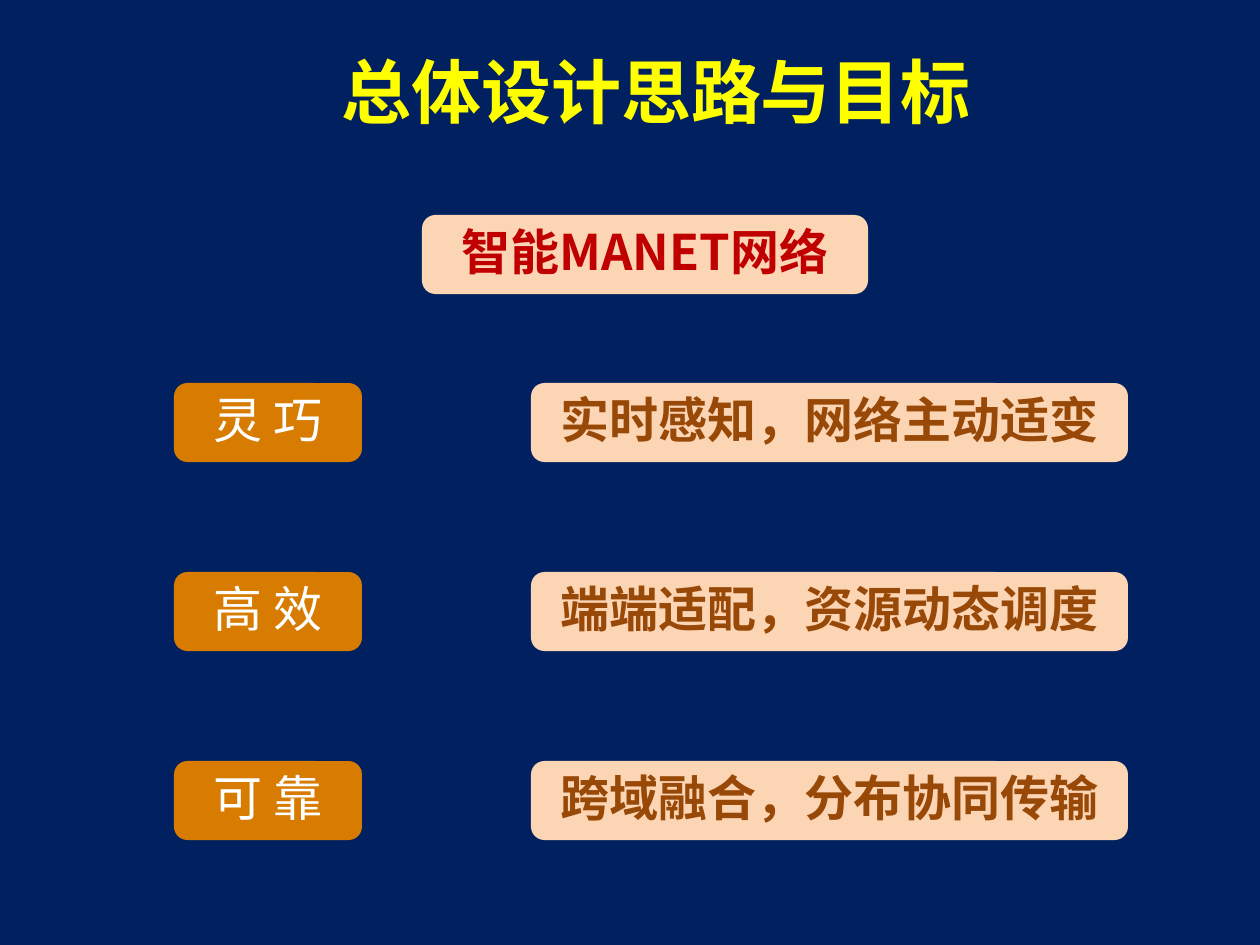
from pptx import Presentation
from pptx.dml.color import RGBColor
from pptx.enum.shapes import MSO_SHAPE
from pptx.enum.text import MSO_ANCHOR, PP_ALIGN
from pptx.util import Emu, Pt
from lxml import etree

ROUNDED = MSO_SHAPE.ROUNDED_RECTANGLE
MIDDLE = MSO_ANCHOR.MIDDLE
CENTER = PP_ALIGN.CENTER
FONT = "Noto Sans CJK SC"
DRAWING = "{http://schemas.openxmlformats.org/drawingml/2006/main}"

TITLE = "总体设计思路与目标"
NETWORK = "智能MANET网络"
GOALS = [
    ("灵 巧", "实时感知，网络主动适变"),
    ("高 效", "端端适配，资源动态调度"),
    ("可 靠", "跨域融合，分布协同传输"),
]
COLORS = {
    "background": "002060",
    "title": "FFFF00",
    "goal": "D77C01",
    "goal_text": "FFFFFF",
    "panel": "FCD5B5",
    "network_text": "C00000",
    "method_text": "984807",
}

PAGE_WIDTH, PAGE_HEIGHT = 1260, 945
BOX_HEIGHT = 79
FIRST_ROW, ROW_PITCH = 383, 189
GOAL_LEFT, GOAL_WIDTH = 174, 188
METHOD_LEFT, METHOD_WIDTH = 531, 597


def px(length):
    return Emu(round(length * 914400 / 126))


def color(name):
    return RGBColor.from_string(COLORS[name])


def write(frame, text, *, size, ink, bold=False, align=None, spacing=None):
    para = frame.paragraphs[0]
    para.alignment = align
    para.line_spacing = spacing
    span = para.add_run()
    span.text = text
    span.font.size = Pt(size)
    span.font.bold = bold
    span.font.name = FONT
    span.font.color.rgb = color(ink)
    etree.SubElement(span.font._element, DRAWING + "ea", typeface=FONT)


def add_box(page, text, left, top, width, *, fill, ink, bold=True):
    box = page.shapes.add_shape(ROUNDED, px(left), px(top), px(width), px(BOX_HEIGHT))
    box.shadow.inherit = False
    box.adjustments[0] = 0.17
    box.fill.solid()
    box.fill.fore_color.rgb = color(fill)
    box.line.fill.background()
    frame = box.text_frame
    frame.word_wrap = True
    frame.vertical_anchor = MIDDLE
    frame.margin_left = frame.margin_right = px(5)
    frame.margin_top, frame.margin_bottom = 0, px(6)
    write(frame, text, size=28, ink=ink, bold=bold, align=CENTER, spacing=Pt(33))


def main():
    deck = Presentation()
    deck.slide_width, deck.slide_height = px(PAGE_WIDTH), px(PAGE_HEIGHT)
    page = deck.slides.add_slide(deck.slide_layouts[6])
    page.background.fill.solid()
    page.background.fill.fore_color.rgb = color("background")

    title = page.shapes.add_textbox(px(329), px(42), px(664), px(97))
    title.text_frame.word_wrap = True
    write(title.text_frame, TITLE, size=40, ink="title", bold=True)

    add_box(page, NETWORK, 422, 215, 446, fill="panel", ink="network_text")
    for row, (goal, method) in enumerate(GOALS):
        top = FIRST_ROW + row * ROW_PITCH
        add_box(page, goal, GOAL_LEFT, top, GOAL_WIDTH,
                fill="goal", ink="goal_text", bold=False)
        add_box(page, method, METHOD_LEFT, top, METHOD_WIDTH,
                fill="panel", ink="method_text")

    deck.save("out.pptx")


if __name__ == "__main__":
    main()
